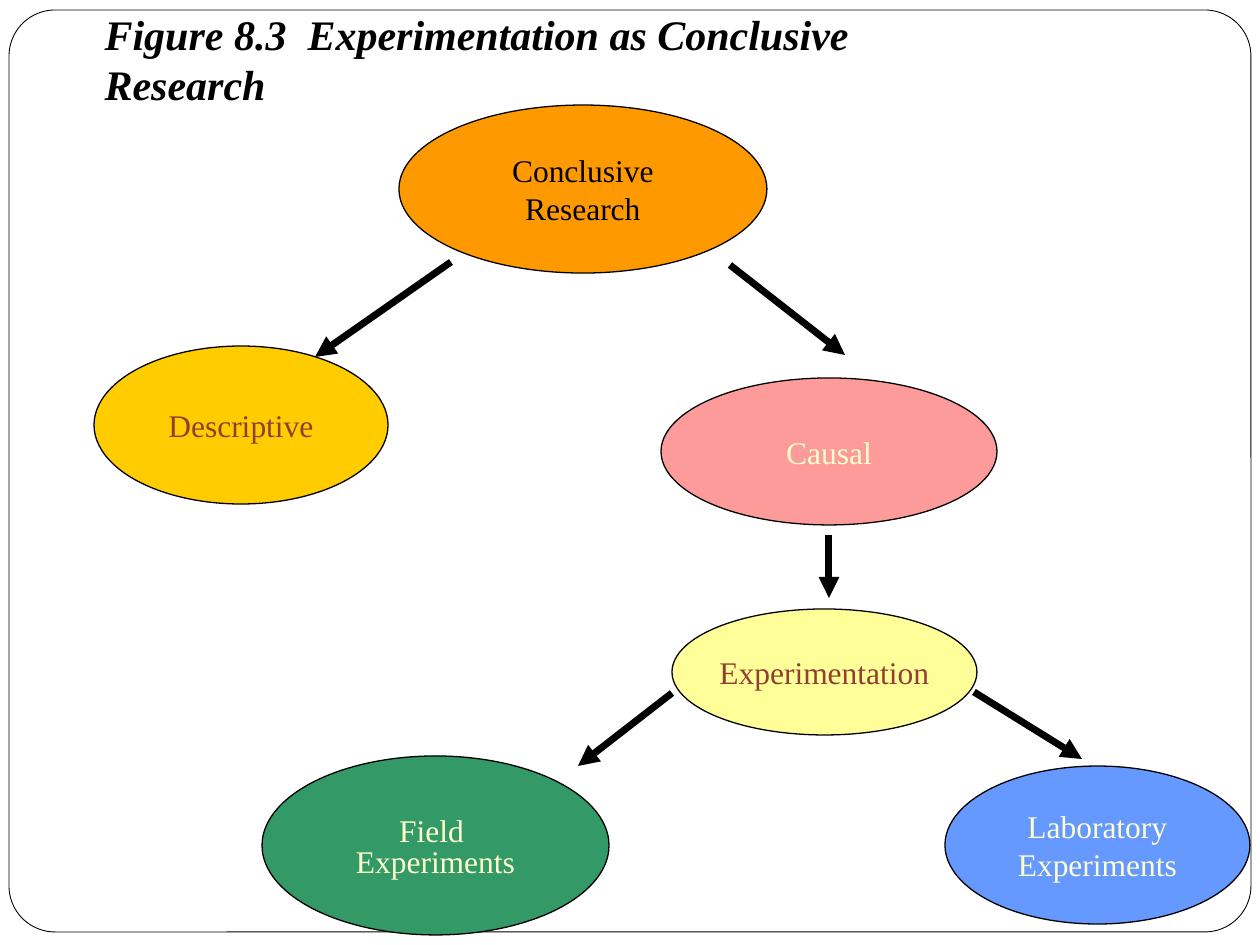
from lxml import etree
from pptx import Presentation
from pptx import util as u
from pptx.dml.color import RGBColor
from pptx.enum import shapes, text
from pptx.oxml import ns

PX = 914400 / 126  # EMU in one px
FONT = "Times New Roman"

BLACK = RGBColor(0x00, 0x00, 0x00)
WHITE = RGBColor(0xFF, 0xFF, 0xFF)
ORANGE = RGBColor(0xFF, 0x99, 0x00)
GOLD = RGBColor(0xFF, 0xCC, 0x00)
PINK = RGBColor(0xFD, 0x9B, 0x9B)
YELLOW = RGBColor(0xFF, 0xFF, 0x99)
GREEN = RGBColor(0x33, 0x99, 0x66)
BLUE = RGBColor(0x66, 0x99, 0xFF)
BROWN = RGBColor(0x8F, 0x40, 0x33)
CREAM = RGBColor(0xFF, 0xFF, 0xCC)

TITLE_FONT = {"name": FONT, "size": u.Pt(24), "bold": True, "italic": True}
NODE_FONT = {"name": FONT, "size": u.Pt(18)}

# label, box (left, top, width, height), fill, text colour, last line's spacing
NODES = [
    ("Conclusive\nResearch", (399, 105, 368, 168), ORANGE, BLACK, None),
    ("Descriptive", (94, 346, 294, 158), GOLD, BROWN, None),
    ("Causal", (661, 378, 336, 147), PINK, CREAM, None),
    ("Experimentation", (672, 609, 305, 126), YELLOW, BROWN, None),
    ("Field \nExperiments", (262, 756, 347, 179), GREEN, CREAM, 0.8),
    ("Laboratory\nExperiments", (945, 766, 305, 158), BLUE, CREAM, None),
]

# start x, start y, end x, end y
ARROWS = [
    (451, 262, 315, 357),
    (730, 265, 845, 355),
    (829, 535, 829, 598),
    (672, 693, 578, 766),
    (974, 692, 1082, 759),
]


def px(*lengths):
    return [u.Emu(round(length * PX)) for length in lengths]


def apply_format(target, values):
    for name, value in values.items():
        setattr(target, name, value)


def format_text(frame, font, color, alignment):
    apply_format(frame, {"word_wrap": False,
                         "vertical_anchor": text.MSO_ANCHOR.MIDDLE})
    for paragraph in frame.paragraphs:
        paragraph.alignment = alignment
        for run in paragraph.runs:
            apply_format(run.font, font)
            run.font.color.rgb = color


def add_outlined(slide, kind, box, fill, line_width):
    shape = slide.shapes.add_shape(kind, *px(*box))
    shape.shadow.inherit = False
    shape.fill.solid()
    shape.fill.fore_color.rgb = fill
    shape.line.color.rgb = BLACK
    shape.line.width = u.Pt(line_width)
    return shape


def set_title(slide, label, box):
    title = slide.shapes.title
    apply_format(title, dict(zip(("left", "top", "width", "height"), px(*box))))
    title.text_frame.text = label
    title.text_frame.auto_size = text.MSO_AUTO_SIZE.SHAPE_TO_FIT_TEXT
    format_text(title.text_frame, TITLE_FONT, BLACK, text.PP_ALIGN.LEFT)


def add_frame(slide, box):
    frame = add_outlined(slide, shapes.MSO_SHAPE.ROUNDED_RECTANGLE, box, WHITE, 0.5)
    frame.adjustments[0] = 0.05
    slide.shapes.title.element.addprevious(frame.element)  # behind the title


def add_node(slide, label, box, fill, color, spacing):
    node = add_outlined(slide, shapes.MSO_SHAPE.OVAL, box, fill, 0.75)
    node.text_frame.text = label
    format_text(node.text_frame, NODE_FONT, color, text.PP_ALIGN.CENTER)
    if spacing:
        node.text_frame.paragraphs[-1].line_spacing = spacing


def add_arrow(slide, points):
    arrow = slide.shapes.add_connector(shapes.MSO_CONNECTOR.STRAIGHT, *px(*points))
    arrow.line.color.rgb = BLACK
    arrow.line.width = u.Pt(4)
    line = arrow.line.color and arrow.element.spPr.find(ns.qn("a:ln"))
    etree.SubElement(line, ns.qn("a:tailEnd"), type="triangle")
    etree.SubElement(arrow.element.spPr, ns.qn("a:effectLst"))


def main():
    presentation = Presentation()
    presentation.slide_width = u.Inches(10)
    presentation.slide_height = u.Inches(7.5)
    slide = presentation.slides.add_slide(presentation.slide_layouts[5])

    # Title and surrounding frame
    set_title(slide, "Figure 8.3  Experimentation as Conclusive Research",
              (92, 27, 941, 63))
    add_frame(slide, (9, 10, 1242, 922))

    # Research tree
    for node in NODES:
        add_node(slide, *node)
    for points in ARROWS:
        add_arrow(slide, points)

    presentation.save("out.pptx")


if __name__ == "__main__":
    main()
